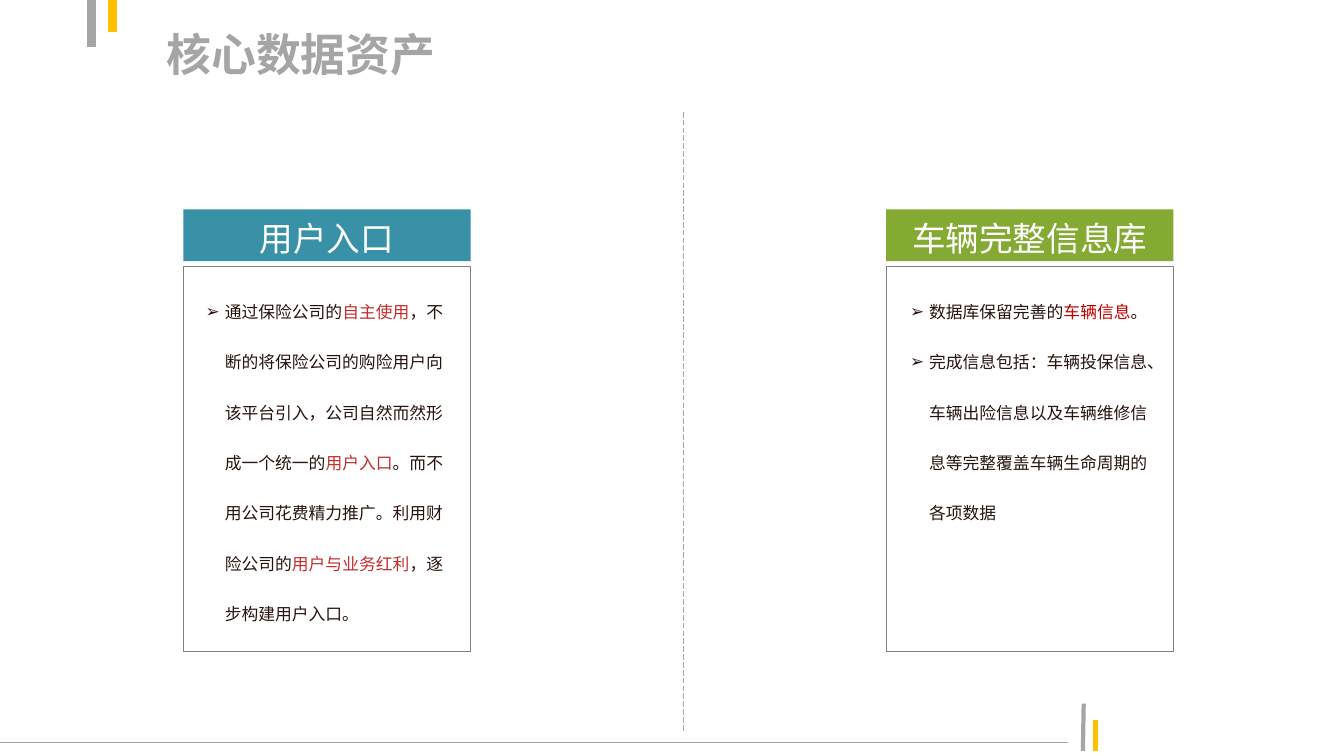
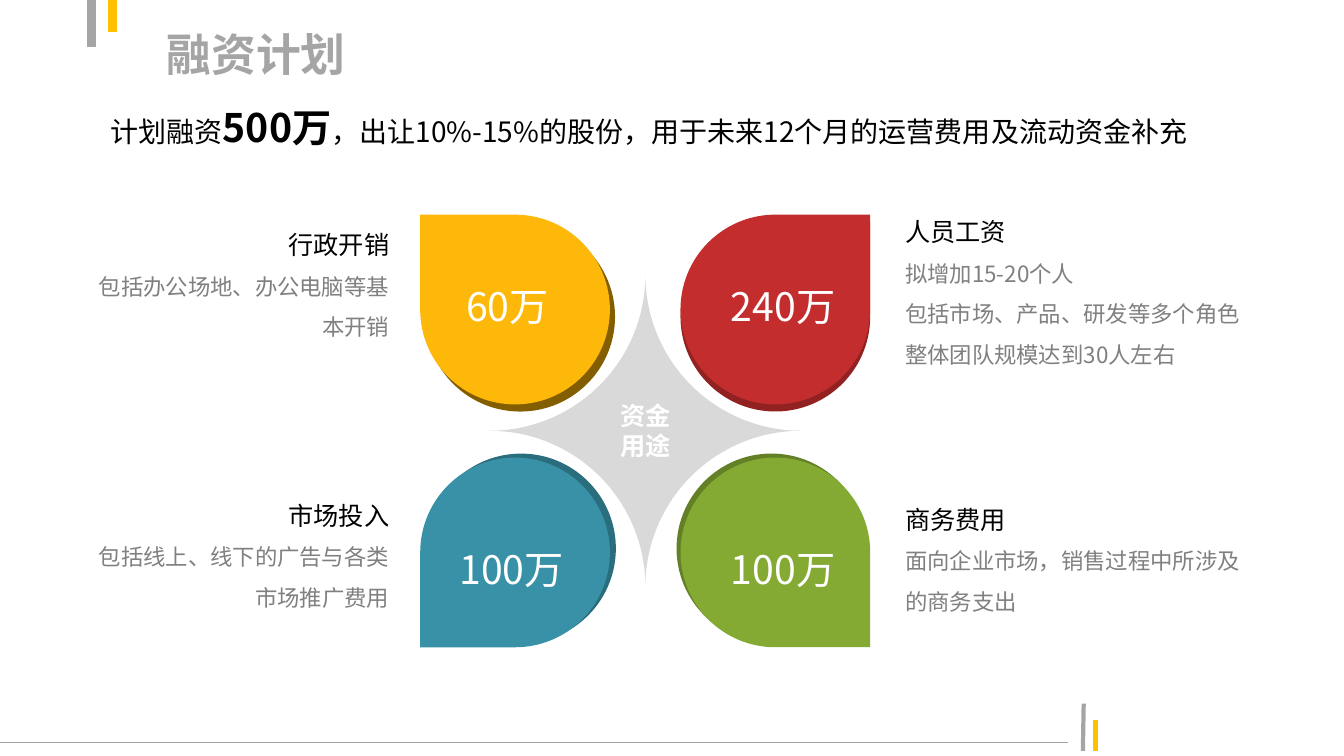
from lxml import etree
from pptx import Presentation
from pptx.dml.color import RGBColor
from pptx.enum.dml import MSO_LINE_DASH_STYLE as Dash
from pptx.enum.shapes import MSO_CONNECTOR as Connector
from pptx.enum.shapes import MSO_SHAPE as Shape
from pptx.enum.text import MSO_ANCHOR as Anchor
from pptx.enum.text import MSO_AUTO_SIZE as AutoSize
from pptx.enum.text import PP_ALIGN as Align
from pptx.oxml.ns import qn
from pptx.util import Cm, Pt

FONT = "Noto Sans CJK SC"
WHITE = RGBColor(0xFF, 0xFF, 0xFF)
BLACK = RGBColor(0x00, 0x00, 0x00)
SILVER = RGBColor(0xA5, 0xA5, 0xA5)
GOLD = RGBColor(0xFF, 0xC0, 0x00)
DIVIDER = RGBColor(0xA6, 0xA6, 0xA6)
GREY = RGBColor(0x80, 0x80, 0x80)
STAR = RGBColor(0xD9, 0xD9, 0xD9)
BROWN = RGBColor(0x28, 0x14, 0x0E)
CRIMSON = RGBColor(0xC0, 0x00, 0x00)
RED, DARK_RED = RGBColor(0xC3, 0x2D, 0x2E), RGBColor(0x92, 0x22, 0x22)
TEAL, DARK_TEAL = RGBColor(0x38, 0x91, 0xA7), RGBColor(0x2A, 0x6D, 0x7D)
GREEN, DARK_GREEN = RGBColor(0x84, 0xAA, 0x33), RGBColor(0x63, 0x80, 0x26)
AMBER, DARK_AMBER = RGBColor(0xFE, 0xB8, 0x0A), RGBColor(0x83, 0x5E, 0x01)

TITLE_BOX = (3.94, 0.33, 27.41, 2.03)
DROP = 4.78  # side of a teardrop


def box_cm(box):
    return [Cm(length) for length in box]


def style_run(run, size, color, bold=False):
    font = run.font
    font.name, font.size, font.bold = FONT, Pt(size), bold
    font.color.rgb = color
    east_asian = etree.Element(qn("a:ea"), typeface=FONT)
    run.font._element.find(qn("a:latin")).addnext(east_asian)


def write(paragraph, text, size, color, bold=False):
    paragraph.text = text
    style_run(paragraph.runs[0], size, color, bold)


def write_runs(paragraph, pieces):
    for text, *style in pieces:
        run = paragraph.add_run()
        run.text = text
        style_run(run, *style)


def add_text_frame(slide, box):
    frame = slide.shapes.add_textbox(*box_cm(box)).text_frame
    frame.word_wrap = True
    return frame


def add_plain_shape(slide, kind, box, fill=None, outline=None):
    shape = slide.shapes.add_shape(kind, *box_cm(box))
    shape.shadow.inherit = False
    if fill is None:
        shape.fill.background()
    else:
        shape.fill.solid()
        shape.fill.fore_color.rgb = fill
    if outline is None:
        shape.line.fill.background()
    else:
        shape.line.color.rgb = outline
        shape.line.width = Pt(0)
    return shape


def add_line(slide, ends, color, width):
    line = slide.shapes.add_connector(Connector.STRAIGHT, *box_cm(ends))
    line.line.color.rgb = color
    line.line.width = Pt(width)
    etree.SubElement(line.element.spPr, qn("a:effectLst"))
    return line


def set_title(slide, text):
    title = slide.shapes.title
    frame = title.text_frame
    frame.auto_size = AutoSize.NONE
    frame.vertical_anchor = Anchor.MIDDLE
    frame.paragraphs[0].alignment = Align.LEFT
    write(frame.paragraphs[0], text, 32, SILVER, True)


def dress_master(prs, slide):
    """Give the master its title box, footer rule and accent bars."""
    master = prs.slide_master
    title = master.placeholders[0]
    title.left, title.top, title.width, title.height = box_cm(TITLE_BOX)
    accents = [
        ((0, 18.72, 26.92, 18.72), SILVER, 0.75),
        ((27.29, 18.92, 27.31, 17.73), SILVER, 3),
        ((27.61, 18.92, 27.61, 18.14), GOLD, 3),
        ((2.31, 1.19, 2.31, 0), SILVER, 6),
        ((2.84, 0, 2.84, 0.81), GOLD, 6),
    ]
    for number, accent in enumerate(accents, start=101):
        line = add_line(slide, *accent)
        line.element.nvCxnSpPr.cNvPr.id = number
        master.shapes.element.append(line.element)


def fill_bullets(body, box, items):
    body.left, body.top, body.width, body.height = box_cm(box)
    frame = body.text_frame
    frame.auto_size = AutoSize.NONE
    for index, pieces in enumerate(items):
        paragraph = frame.paragraphs[0] if index == 0 else frame.add_paragraph()
        props = paragraph._p.get_or_add_pPr()
        props.set("marL", str(Cm(0.48)))
        props.set("indent", str(-Cm(0.48)))
        etree.SubElement(props, qn("a:buChar"), char="➢")
        paragraph.line_spacing = 2.5
        paragraph.space_before = Pt(0)
        write_runs(paragraph, [(text, 12, color) for text, color in pieces])


def asset_card(slide, body, box, heading, color, text_inset, text_width, items):
    """Coloured heading over a framed bullet list."""
    left, top, width, height = box
    frame_top = top + 1.43
    header = add_plain_shape(slide, Shape.RECTANGLE, (left, top, width, 1.3), color)
    header_text = header.text_frame
    header_text.margin_top, header_text.margin_bottom = Cm(0.2), Cm(0.08)
    header_text.vertical_anchor = Anchor.MIDDLE
    header_text.paragraphs[0].alignment = Align.CENTER
    write(header_text.paragraphs[0], heading, 24, WHITE)
    add_plain_shape(slide, Shape.RECTANGLE,
                    (left, frame_top, width, height - 1.43), outline=GREY)
    fill_bullets(body, (left + text_inset, frame_top, text_width, 9.25), items)


def assets_slide(prs):
    slide = prs.slides.add_slide(prs.slide_layouts[3])
    dress_master(prs, slide)
    set_title(slide, "核心数据资产")
    entry_body, vehicle_body = list(slide.placeholders)[1:]
    asset_card(slide, entry_body, (4.62, 5.28, 7.24, 11.13), "用户入口", TEAL, 0.31, 6.81, [[
        ("通过保险公司的", BROWN),
        ("自主使用", RED),
        ("，不断的将保险公司的购险用户向该平台引入，公司自然而然形成一个统一的", BROWN),
        ("用户入口", RED),
        ("。而不用公司花费精力推广。利用财险公司的", BROWN),
        ("用户与业务红利", RED),
        ("，逐步构建用户入口。", BROWN),
    ]])
    asset_card(slide, vehicle_body, (22.33, 5.28, 7.24, 11.13), "车辆完整信息库", GREEN, 0.35, 6.65, [
        [("数据库保留完善的", BROWN), ("车辆信息", CRIMSON), ("。", BROWN)],
        [("完成信息包括：车辆投保信息、车辆出险信息以及车辆维修信息等完整覆盖车辆生命周期的各项数据", BROWN)],
    ])
    divider = add_line(slide, (17.22, 2.82, 17.22, 18.44), DIVIDER, 0.5)
    divider.line.dash_style = Dash.LONG_DASH


def cost_drop(slide, origin, rotation, colors, shade_shift, amount, amount_shift):
    """Teardrop with a darker rim and its amount."""
    left, top = origin
    color, shade = colors
    for (dx, dy), fill in ((shade_shift, shade), ((0, 0), color)):
        drop = add_plain_shape(slide, Shape.TEAR, (left + dx, top + dy, DROP, DROP), fill)
        drop.rotation = rotation
    dx, dy = amount_shift
    frame = add_text_frame(slide, (left + dx, top + dy, 3.86, 1.45))
    write(frame.paragraphs[0], amount, 28, WHITE)


def cost_label(slide, box, align, heading, details):
    frame = add_text_frame(slide, box)
    for index, text in enumerate([heading, *details]):
        paragraph = frame.paragraphs[0] if index == 0 else frame.add_paragraph()
        paragraph.alignment = align
        paragraph.line_spacing = 1.5
        write(paragraph, text, *((16, GREY) if index else (18, BLACK)))


def funding_slide(prs):
    slide = prs.slides.add_slide(prs.slide_layouts[5])
    set_title(slide, "融资计划")
    summary = add_text_frame(slide, (2.54, 2.49, 28.17, 1.45))
    write_runs(summary.paragraphs[0], [
        ("计划融资", 20, BLACK),
        ("500万", 28, BLACK, True),
        ("，出让10%-15%的股份，用于未来12个月的运营费用及流动资金补充", 20, BLACK),
    ])

    # Central star
    star = add_plain_shape(slide, Shape.PLAQUE, (12.34, 6.93, 7.85, 7.85), STAR)
    star.adjustments[0] = 0.5
    star.text_frame.word_wrap = True
    star.text_frame.vertical_anchor = Anchor.MIDDLE
    star.text_frame.paragraphs[0].alignment = Align.CENTER
    write(star.text_frame.paragraphs[0], "资金用途", 18, WHITE, True)

    # Four cost drops around it
    west, east, north, south = 10.59, 17.15, 5.41, 11.53
    drops = [
        ((west, north), 270, (AMBER, DARK_AMBER), (0.13, 0.18), "60万", (0.91, 1.57)),
        ((east, north), 0, (RED, DARK_RED), (0, 0.18), "240万", (1.02, 1.57)),
        ((west, south), 180, (TEAL, DARK_TEAL), (0.15, -0.1), "100万", (0.74, 2.08)),
        ((east, south), 90, (GREEN, DARK_GREEN), (-0.1, -0.1), "100万", (1.02, 2.08)),
    ]
    for drop in drops:
        cost_drop(slide, *drop)

    # Explanations beside the drops
    labels = [
        ((2.06, 5.28, 8, 3.45), Align.RIGHT, "行政开销", ["包括办公场地、办公电脑等基本开销"]),
        ((22.56, 4.95, 10.59, 4.62), Align.LEFT, "人员工资",
         ["拟增加15-20个人", "包括市场、产品、研发等多个角色", "整体团队规模达到30人左右"]),
        ((2.06, 12.09, 8, 3.45), Align.RIGHT, "市场投入", ["包括线上、线下的广告与各类市场推广费用"]),
        ((22.56, 12.19, 9.32, 3.45), Align.LEFT, "商务费用", ["面向企业市场，销售过程中所涉及的商务支出"]),
    ]
    for label in labels:
        cost_label(slide, *label)


def main():
    prs = Presentation()
    prs.slide_width, prs.slide_height = Cm(33.87), Cm(19.05)
    assets_slide(prs)
    funding_slide(prs)
    prs.save("out.pptx")


if __name__ == "__main__":
    main()
